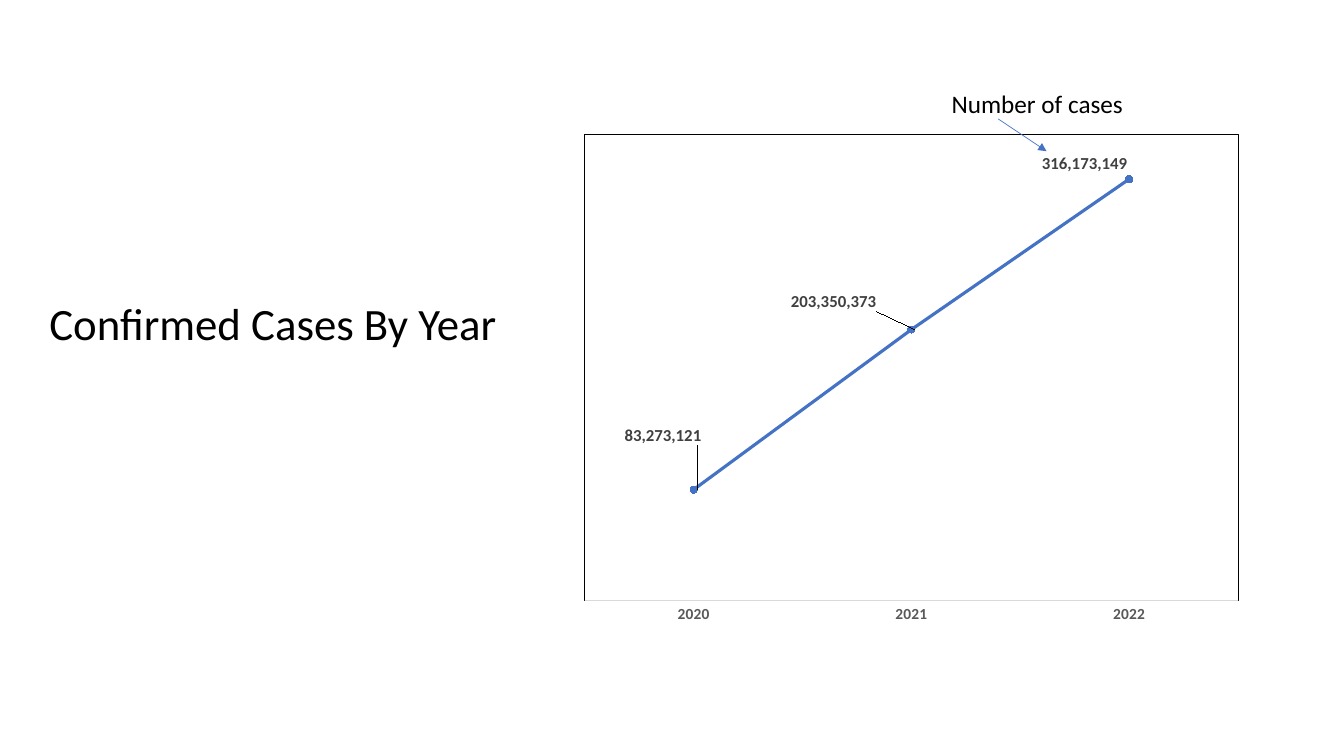
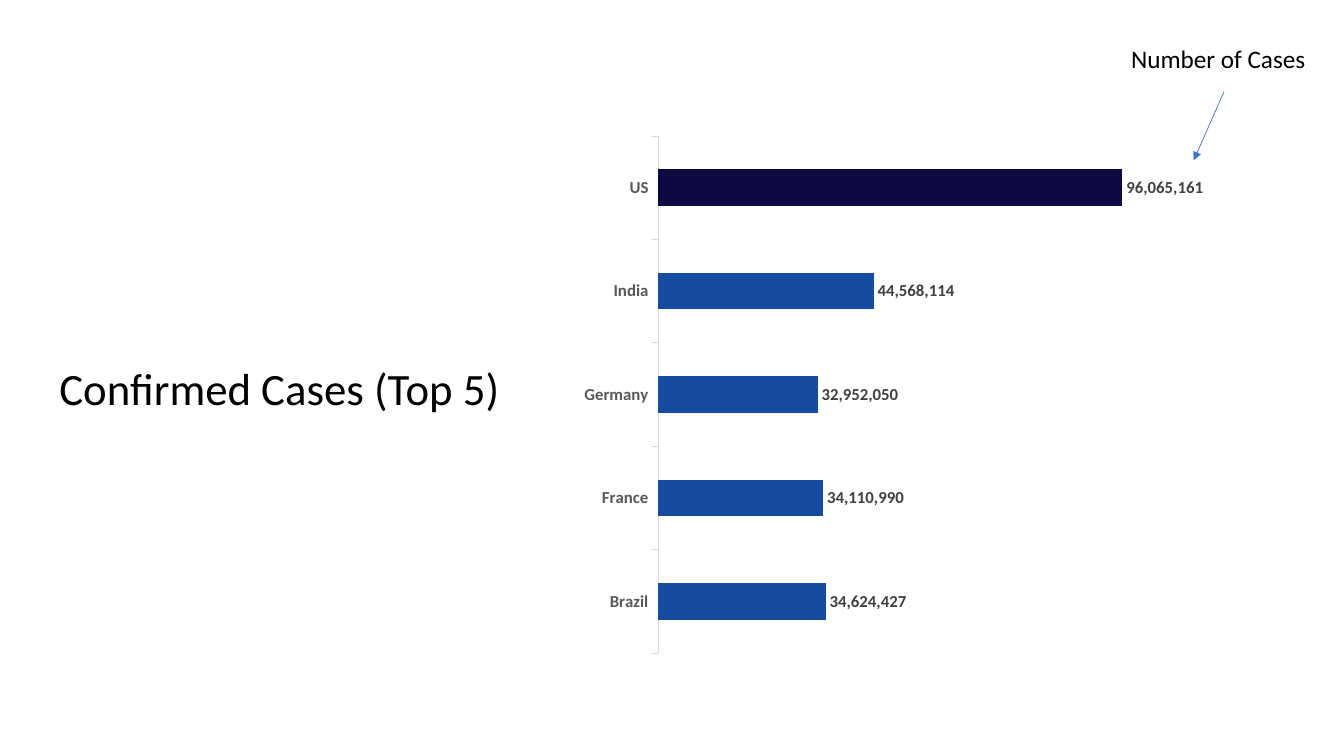
from dataclasses import dataclass

import pptx
import pptx.chart.data
import pptx.dml.color
import pptx.enum.chart
import pptx.enum.shapes
import pptx.enum.text
import pptx.oxml
import pptx.oxml.ns
import pptx.util

RGBColor = pptx.dml.color.RGBColor
Pt = pptx.util.Pt
qn = pptx.oxml.ns.qn

# Shared look
EMU_PER_PX = 9144  # 100 px to the inch
FONT = "Calibri"
BLACK = RGBColor(0x00, 0x00, 0x00)
AXIS_TEXT = RGBColor(0x59, 0x59, 0x59)
LABEL_TEXT = RGBColor(0x40, 0x40, 0x40)
AXIS_LINE = RGBColor(0xD9, 0xD9, 0xD9)
BLUE = RGBColor(0x44, 0x72, 0xC4)
BAR_BLUE = RGBColor(0x16, 0x4B, 0xA2)
NAVY = RGBColor(0x0D, 0x0A, 0x42)


@dataclass
class Box:
    left: int
    top: int
    width: int
    height: int

    def emu(self) -> list[int]:
        return [px(v) for v in (self.left, self.top, self.width, self.height)]


@dataclass
class Arrow:
    x1: int
    y1: int
    x2: int
    y2: int


@dataclass
class ChartSpec:
    kind: int
    box: Box
    plot: Box  # plot area, measured from the chart's corner
    values: dict[str, int]
    axis_max: int
    axis_size: int
    tick: int
    label_position: int


def px(value: int) -> int:
    return value * EMU_PER_PX


def style_font(font, size: int, color: RGBColor, bold: bool = False) -> None:
    font.name = FONT
    font.size = Pt(size)
    font.bold = bold
    font.color.rgb = color


def add_text(slide, box: Box, text: str, size: int):
    tf = slide.shapes.add_textbox(*box.emu()).text_frame
    tf.word_wrap = True
    tf.text = text
    p = tf.paragraphs[0]
    style_font(p.runs[0].font, size, BLACK)
    return tf


def add_title(slide, box: Box, text: str) -> None:
    tf = add_text(slide, box, text, 32)
    tf.vertical_anchor = pptx.enum.text.MSO_ANCHOR.BOTTOM
    tf.paragraphs[0].line_spacing = 0.9


def add_callout(slide, box: Box, text: str, arrow: Arrow) -> None:
    """Caption with an arrow to a data label."""
    ends = [px(v) for v in (arrow.x1, arrow.y1, arrow.x2, arrow.y2)]
    line = slide.shapes.add_connector(pptx.enum.shapes.MSO_CONNECTOR.STRAIGHT, *ends)
    line.line.color.rgb = BLUE
    line.line.width = Pt(0.5)
    ns = pptx.oxml.ns.nsdecls("a")
    line.line._get_or_add_ln().append(
        pptx.oxml.parse_xml(f'<a:tailEnd {ns} type="triangle"/>'))
    line.element.spPr.append(pptx.oxml.parse_xml(f"<a:effectLst {ns}/>"))
    add_text(slide, box, text, 18)


def manual_layout(inner: str):
    return pptx.oxml.parse_xml(
        f'<c:layout {pptx.oxml.ns.nsdecls("c")}>'
        f"<c:manualLayout>{inner}</c:manualLayout></c:layout>")


def place_plot(chart, spec: ChartSpec) -> None:
    area = chart.element.find(".//" + qn("c:plotArea"))
    for old in area.findall(qn("c:layout")):
        area.remove(old)
    whole, plot = spec.box, spec.plot
    area.insert(0, manual_layout(
        '<c:layoutTarget val="inner"/><c:xMode val="edge"/><c:yMode val="edge"/>'
        f'<c:x val="{plot.left / whole.width}"/><c:y val="{plot.top / whole.height}"/>'
        f'<c:w val="{plot.width / whole.width}"/><c:h val="{plot.height / whole.height}"/>'))


def frame_plot(chart) -> None:
    area = chart.element.find(".//" + qn("c:plotArea"))
    area.append(pptx.oxml.parse_xml(
        f'<c:spPr {pptx.oxml.ns.nsdecls("c", "a")}><a:noFill/><a:ln w="9525">'
        f'<a:solidFill><a:srgbClr val="{BLACK}"/></a:solidFill></a:ln></c:spPr>'))


def shift_labels(chart, spec: ChartSpec, shifts: list[tuple[int, int]]) -> None:
    """Move each point's label by (dx, dy) px from its usual place."""
    for i, (dx, dy) in enumerate(shifts):
        label = chart.series[0].points[i].data_label
        style_font(label.font, 12, LABEL_TEXT, True)
        label.position = spec.label_position
    for dlbl, (dx, dy) in zip(chart.element.iter(qn("c:dLbl")), shifts):
        dlbl.insert(1, manual_layout(
            f'<c:x val="{dx / spec.box.width}"/><c:y val="{dy / spec.box.height}"/>'))


def add_case_chart(slide, spec: ChartSpec):
    data = pptx.chart.data.CategoryChartData(number_format="#,##0")
    data.categories = list(spec.values)
    data.add_series("Series 1", list(spec.values.values()))
    chart = slide.shapes.add_chart(spec.kind, *spec.box.emu(), data).chart
    chart.has_title = False
    chart.has_legend = False
    style_font(chart.font, 10, BLACK)
    chart.plots[0].vary_by_categories = False
    place_plot(chart, spec)

    # Axes
    value_axis = chart.value_axis
    value_axis.minimum_scale = 0
    value_axis.maximum_scale = spec.axis_max
    value_axis.has_major_gridlines = False
    value_axis.visible = False
    cat_axis = chart.category_axis
    cat_axis.has_major_gridlines = False
    cat_axis.major_tick_mark = spec.tick
    cat_axis.minor_tick_mark = pptx.enum.chart.XL_TICK_MARK.NONE
    cat_axis.format.line.color.rgb = AXIS_LINE
    cat_axis.format.line.width = Pt(0.75)
    style_font(cat_axis.tick_labels.font, spec.axis_size, AXIS_TEXT, True)

    # Data labels
    labels = chart.series[0].data_labels
    labels.show_value = True
    labels.number_format = "#,##0"
    labels.number_format_is_linked = False
    labels.position = spec.label_position
    style_font(labels.font, 12, LABEL_TEXT, True)
    return chart


def build_year_slide(slide) -> None:
    add_title(slide, Box(39, 277, 475, 75), "Confirmed Cases By Year")
    spec = ChartSpec(
        kind=pptx.enum.chart.XL_CHART_TYPE.LINE_MARKERS,
        box=Box(566, 123, 675, 506),
        plot=Box(14, 10, 648, 463),
        values={"2020": 83273121, "2021": 203350373, "2022": 316173149},
        axis_max=350_000_000,
        axis_size=11,
        tick=pptx.enum.chart.XL_TICK_MARK.NONE,
        label_position=pptx.enum.chart.XL_LABEL_POSITION.RIGHT)
    chart = add_case_chart(slide, spec)
    frame_plot(chart)
    series = chart.series[0]
    series.smooth = False
    series.format.line.color.rgb = BLUE
    series.format.line.width = Pt(2.25)
    marker = series.marker
    marker.style = pptx.enum.chart.XL_MARKER_STYLE.CIRCLE
    marker.size = 5
    marker.format.fill.solid()
    marker.format.fill.fore_color.rgb = BLUE
    marker.format.line.color.rgb = BLUE
    shift_labels(chart, spec, [(-76, -54), (-127, -28), (-94, -15)])
    add_callout(slide, Box(934, 83, 207, 40), "Number of cases",
                Arrow(990, 118, 1038, 150))


def build_country_slide(slide) -> None:
    add_title(slide, Box(49, 333, 462, 84), "Confirmed Cases (Top 5)")
    spec = ChartSpec(
        kind=pptx.enum.chart.XL_CHART_TYPE.BAR_CLUSTERED,
        box=Box(567, 125, 675, 533),
        plot=Box(86, 10, 575, 513),
        values={"Brazil": 34624427, "France": 34110990, "Germany": 32952050,
                "India": 44568114, "US": 96065161},
        axis_max=120_000_000,
        axis_size=12,
        tick=pptx.enum.chart.XL_TICK_MARK.OUTSIDE,
        label_position=pptx.enum.chart.XL_LABEL_POSITION.OUTSIDE_END)
    chart = add_case_chart(slide, spec)
    chart.plots[0].gap_width = 182
    series = chart.series[0]
    series.invert_if_negative = False
    top_bar = series.points[len(spec.values) - 1]
    for part, color in ((series, BAR_BLUE), (top_bar, NAVY)):
        part.format.fill.solid()
        part.format.fill.fore_color.rgb = color
    add_callout(slide, Box(1112, 38, 203, 40), "Number of Cases",
                Arrow(1214, 91, 1184, 159))


def main() -> None:
    prs = pptx.Presentation()
    prs.slide_width = px(1333)
    prs.slide_height = px(750)
    for build in (build_year_slide, build_country_slide):
        build(prs.slides.add_slide(prs.slide_layouts[6]))
    prs.save("out.pptx")


if __name__ == "__main__":
    main()
